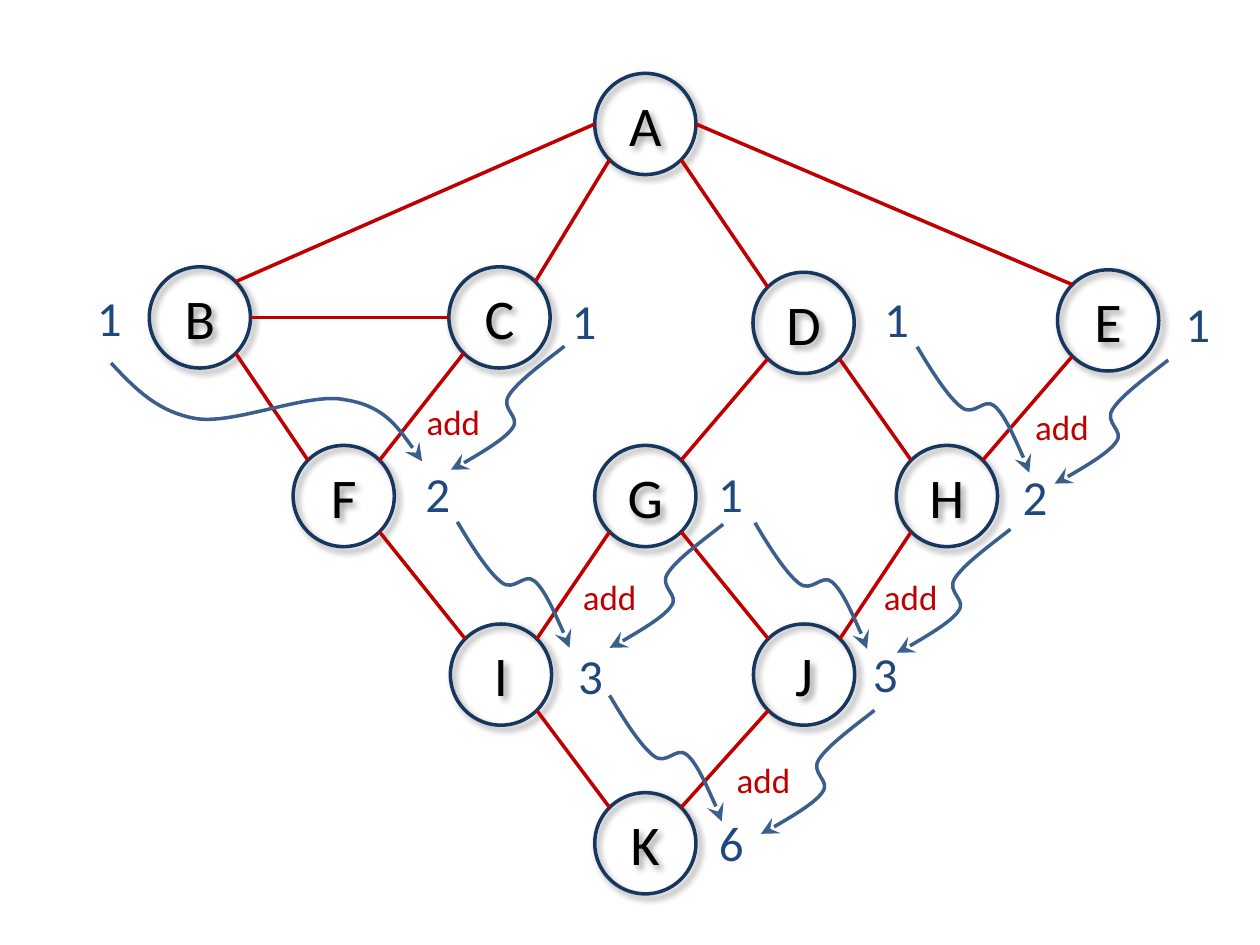
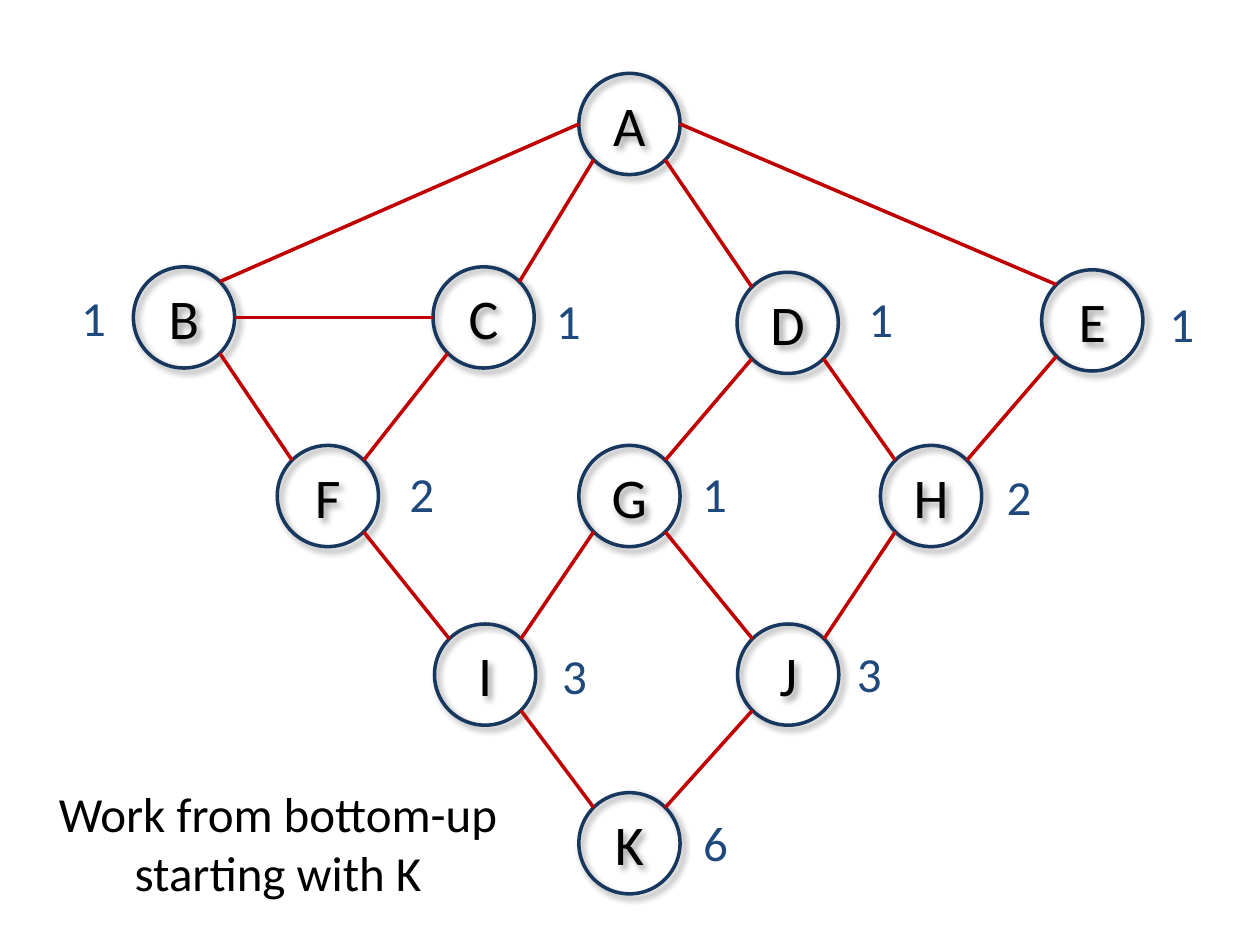
"""Build two slides that count the shortest paths through a graph, level by level."""
from dataclasses import dataclass
from math import copysign, sqrt

from lxml.etree import SubElement
from pptx import Presentation
from pptx.dml.color import RGBColor
from pptx.enum.shapes import MSO_CONNECTOR, MSO_SHAPE
from pptx.enum.text import MSO_ANCHOR, MSO_AUTO_SIZE, PP_ALIGN
from pptx.oxml.ns import qn
from pptx.util import Cm, Pt


@dataclass(frozen=True)
class Theme:
    font: str = "Calibri"
    ink: str = "000000"
    node_line: str = "17375E"
    edge: str = "C00000"
    value: str = "1F497D"
    flow: str = "3A5F8C"
    node_size: int = 32
    value_size: int = 28
    operation_size: int = 20
    line_width: int = 2


DIAMETER = 2.04
NODES = {
    "A": (13.01, 2.5),
    "B": (4.03, 6.4), "C": (10.07, 6.4), "D": (16.2, 6.51), "E": (22.34, 6.46),
    "F": (6.93, 10), "G": (13.01, 10), "H": (19.09, 10),
    "I": (10.1, 13.6), "J": (16.21, 13.6),
    "K": (13.01, 17),
}
EDGES = ["AB", "AC", "AD", "AE", "BC", "BF", "CF", "DG", "DH", "EH",
         "FI", "GI", "GJ", "HJ", "IK", "JK"]
PATH_COUNTS = [
    ("1", 1.43, 5.67), ("1", 11, 5.74), ("1", 17.3, 5.69), ("1", 23.37, 5.79),
    ("2", 8.05, 9.22), ("1", 13.95, 9.22), ("2", 20.09, 9.27),
    ("3", 11.13, 12.88), ("3", 17.07, 12.85),
    ("6", 13.97, 16.26),
]
ADDITIONS = [(8.05, 7.95), (20.32, 8.05), (11.2, 11.48), (17.27, 11.48), (14.3, 15.16)]

FROM_RIGHT = [(0, 0.03), (0, 0.05), (0.2, -0.1), (0.41, -0.23), (1.09, -0.61), (1.24, -0.84),
              (1.42, -1.07), (0.99, -1.22), (1.17, -1.5), (1.35, -1.78), (1.83, -2.13), (2.29, -2.49)]
FROM_LEFT = [(0, 0), (0.03, 0), (-0.08, -0.23), (-0.2, -0.46), (-0.48, -1.17), (-0.71, -1.35),
             (-0.91, -1.52), (-1.12, -1.12), (-1.37, -1.32), (-1.63, -1.52), (-1.96, -2.03), (-2.26, -2.54)]
FROM_FAR_LEFT = [(-0.38, -0.56), (-0.79, -1.12), (-1.55, -1.24), (-2.29, -1.4), (-3.76, -0.74),
                 (-4.55, -0.86), (-5.33, -0.99), (-5.79, -1.47), (-6.27, -1.98)]
FLOWS = [
    (FROM_RIGHT, [(9.09, 9.47), (21.26, 9.75), (12.29, 13.06), (18.08, 13.16), (15.34, 16.81)]),
    (FROM_LEFT, [(20.75, 9.53), (11.48, 13.06), (17.48, 13.08), (14.55, 16.56)]),
    (FROM_FAR_LEFT, [(8.51, 9.3)]),
]


def apply_formats(target, formats):
    for name, value in formats.items():
        setattr(target, name, value)


class Painter:
    def __init__(self, deck, theme):
        self.deck, self.theme = deck, theme
        self.page, self.shift = None, 0

    def new_page(self, shift=0):
        self.page = self.deck.slides.add_slide(self.deck.slide_layouts[6])
        self.shift = shift

    def point(self, x, y):
        return Cm(x + self.shift), Cm(y)

    def stroke(self, line, color):
        line.color.rgb = RGBColor.from_string(color)
        line.width = Pt(self.theme.line_width)

    def set_text(self, shape, lines, size, color, formats):
        frame = shape.text_frame
        apply_formats(frame, {"word_wrap": True, **formats})
        for index, text in enumerate(lines):
            para = frame.add_paragraph() if index else frame.paragraphs[0]
            para.alignment = PP_ALIGN.CENTER
            span = para.add_run()
            span.text = text
            apply_formats(span.font, {"name": self.theme.font, "size": Pt(size)})
            span.font.color.rgb = RGBColor.from_string(color)

    def label(self, lines, left, top, width, height, size, color):
        box = self.page.shapes.add_textbox(*self.point(left, top), Cm(width), Cm(height))
        self.set_text(box, lines, size, color, {"auto_size": MSO_AUTO_SIZE.SHAPE_TO_FIT_TEXT})

    def node(self, letter, x, y):
        corner = self.point(x - DIAMETER / 2, y - DIAMETER / 2)
        circle = self.page.shapes.add_shape(MSO_SHAPE.OVAL, *corner, Cm(DIAMETER), Cm(DIAMETER))
        circle.fill.background()
        self.stroke(circle.line, self.theme.node_line)
        self.cast_shadow(circle)
        self.set_text(circle, [letter], self.theme.node_size, self.theme.ink,
                      {"margin_left": 0, "margin_right": 0, "vertical_anchor": MSO_ANCHOR.MIDDLE})

    def cast_shadow(self, shape):
        shape.shadow.inherit = False
        effects = shape._element.spPr.find(qn("a:effectLst"))
        shadow = SubElement(effects, qn("a:outerShdw"), blurRad=str(Pt(4)), dist=str(Pt(3)),
                            dir="2700000", algn="tl", rotWithShape="0")
        color = SubElement(shadow, qn("a:srgbClr"), val=self.theme.ink)
        SubElement(color, qn("a:alpha"), val="40000")

    def edge(self, start, end):
        (x1, y1), (x2, y2) = start, end
        across, down = x2 - x1, y2 - y1
        radius = DIAMETER / 2
        side = copysign(radius, across)
        diagonal = side / sqrt(2)
        drop = radius / sqrt(2)
        if abs(across) > 2 * abs(down):
            begin = self.point(x1 + side, y1)
        else:
            begin = self.point(x1 + diagonal, y1 + drop)
        finish = self.point(x2 - diagonal, y2 - drop) if down else self.point(x2 - side, y2)
        link = self.page.shapes.add_connector(MSO_CONNECTOR.STRAIGHT, *begin, *finish)
        self.stroke(link.line, self.theme.edge)
        SubElement(link._element.spPr, qn("a:effectLst"))

    def flow(self, tip, offsets):
        x, y = tip
        builder = self.page.shapes.build_freeform(*self.point(x, y))
        builder.add_line_segments([self.point(x + dx, y + dy) for dx, dy in offsets], close=False)
        curve = builder.convert_to_shape()
        curve.fill.background()
        curve.shadow.inherit = False
        self.stroke(curve.line, self.theme.flow)
        outline = curve._element.spPr.find(qn("a:ln"))
        SubElement(outline, qn("a:headEnd"), type="stealth", w="lg", len="lg")
        self.bend(curve)

    def bend(self, curve):
        track = next(curve._element.iter(qn("a:path")))
        segments = track.findall(qn("a:lnTo"))
        for index in range(0, len(segments), 3):
            cubic = SubElement(track, qn("a:cubicBezTo"))
            for segment in segments[index:index + 3]:
                cubic.append(segment[0])
                track.remove(segment)

    def graph(self):
        for letter, center in NODES.items():
            self.node(letter, *center)
        for start, end in EDGES:
            self.edge(NODES[start], NODES[end])
        for count, left, top in PATH_COUNTS:
            self.label([count], left, top, 1.55, 1.45, self.theme.value_size, self.theme.value)


def main():
    deck = Presentation()
    apply_formats(deck, {"slide_width": Cm(25.4), "slide_height": Cm(19.05)})
    theme = Theme()
    painter = Painter(deck, theme)

    painter.new_page()
    painter.graph()
    for offsets, tips in FLOWS:
        for tip in tips:
            painter.flow(tip, offsets)
    for left, top in ADDITIONS:
        painter.label(["add"], left, top, 2.18, 1.12, theme.operation_size, theme.edge)

    painter.new_page(shift=-0.32)
    painter.graph()
    painter.label(["Work from bottom-up", "starting with K"], 0.84 + 0.32, 15.67, 9.53, 2.64,
                  theme.value_size, theme.ink)

    deck.save("out.pptx")


if __name__ == "__main__":
    main()
